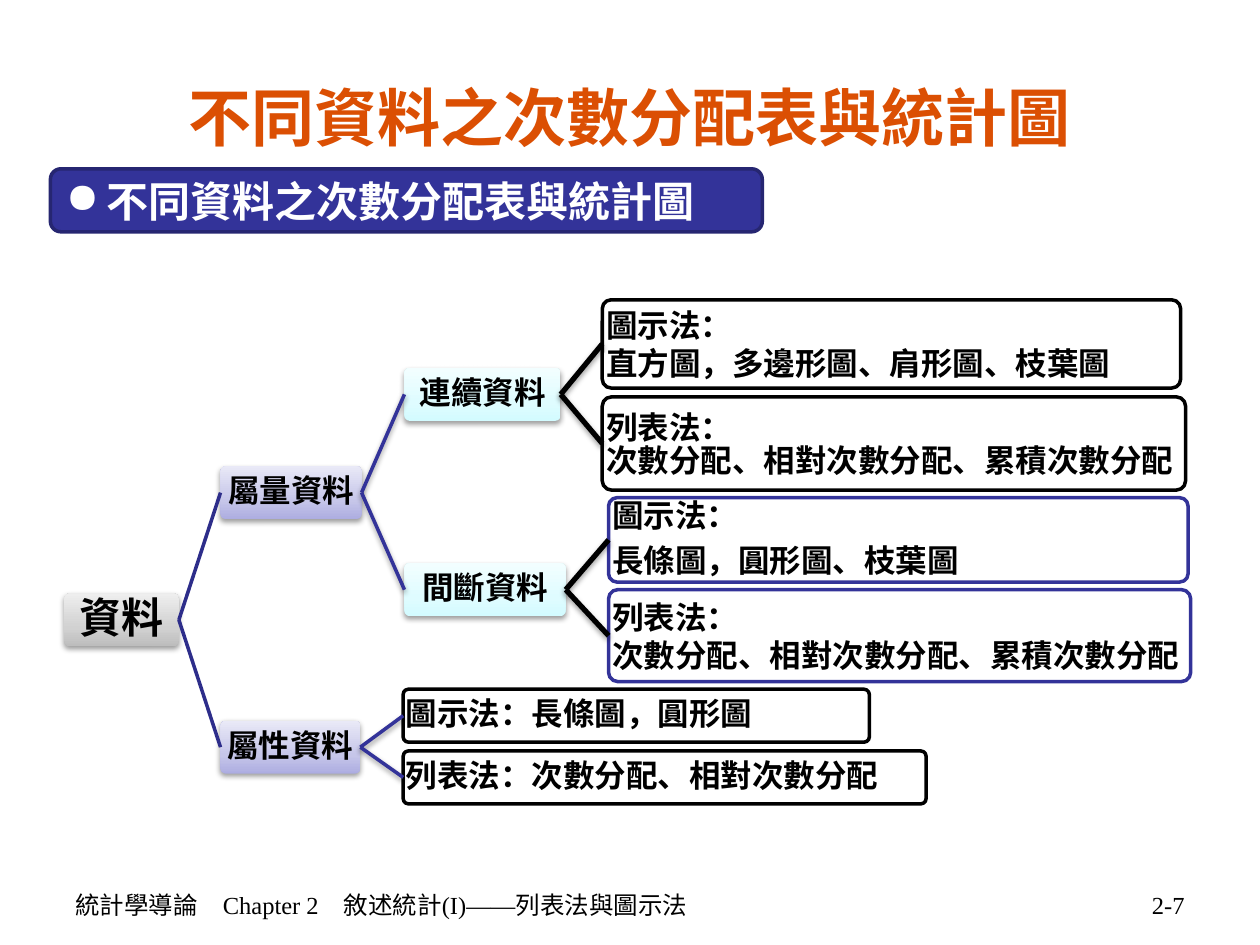
from copy import deepcopy
from lxml import etree
from pptx import Presentation
from pptx.dml.color import RGBColor
from pptx.enum.shapes import MSO_CONNECTOR, MSO_SHAPE
from pptx.enum.text import MSO_ANCHOR, PP_ALIGN
from pptx.oxml import parse_xml
from pptx.oxml.ns import qn
from pptx.util import Inches, Pt

ROUND = MSO_SHAPE.ROUNDED_RECTANGLE
STRAIGHT = MSO_CONNECTOR.STRAIGHT
MIDDLE = MSO_ANCHOR.MIDDLE
LEFT, CENTER, RIGHT = PP_ALIGN.LEFT, PP_ALIGN.CENTER, PP_ALIGN.RIGHT
FONT = "Times New Roman"
SHADOW = parse_xml(
    '<a:effectLst xmlns:a="http://schemas.openxmlformats.org/drawingml/2006/main">'
    '<a:outerShdw blurRad="40000" dist="20000" dir="5400000" rotWithShape="0">'
    '<a:srgbClr val="000000"><a:alpha val="38000"/></a:srgbClr>'
    '</a:outerShdw></a:effectLst>')


def rgb(color):
    return RGBColor.from_string(color)


def write(tf, text, size=18, color="000000", bold=True, align=LEFT, inset=0.01, tight=()):
    tf.word_wrap = True
    tf.vertical_anchor = MIDDLE
    tf.margin_left = tf.margin_right = Inches(inset)
    tf.margin_top = tf.margin_bottom = Inches(inset / 2)
    for i, line in enumerate(text.split("\n")):
        p = tf.paragraphs[0] if i == 0 else tf.add_paragraph()
        p.alignment = align
        if i in tight:
            p.line_spacing = 0.9
            p.space_after = Pt(size * 0.35)
        r = p.add_run()
        r.text = line
        r.font.name = FONT
        r.font.size = Pt(size)
        r.font.bold = bold
        r.font.color.rgb = rgb(color)


prs = Presentation()
prs.slide_width, prs.slide_height = Inches(10), Inches(7.5)
slide = prs.slides.add_slide(prs.slide_layouts[6])
shapes = slide.shapes

labels = [
    (0.5, 0.3, 9, 1.25, "不同資料之次數分配表與統計圖",
     dict(size=36, color="DB4F03", align=CENTER)),
    (0.5, 7.01, 6, 0.34, "統計學導論　Chapter 2　敘述統計(I)——列表法與圖示法",
     dict(size=14, bold=False)),
    (7.17, 7.01, 2.33, 0.34, "2-7", dict(size=14, bold=False, align=RIGHT)),
]
for x, y, w, h, text, style in labels:
    sp = shapes.add_textbox(Inches(x), Inches(y), Inches(w), Inches(h))
    write(sp.text_frame, text, inset=0.1, **style)

gray = ("BDBDBD", "D1D1D1", "EEEEEE")
violet = ("ADADE1", "C6C6E9", "E9E9F7")
cyan = ("D3FBFF", "DFFCFF", "F2FEFF")
groups = [
    ("資料", None, 0.51, 4.71, 0.91, gray, 24),
    ("屬量資料", "資料", 1.75, 3.7, 1.12, violet, 18),
    ("屬性資料", "資料", 1.75, 5.72, 1.11, violet, 18),
    ("連續資料", "屬量資料", 3.21, 2.92, 1.24, cyan, 18),
    ("間斷資料", "屬量資料", 3.21, 4.47, 1.28, cyan, 18),
]
nodes = {}
links = []
for text, parent, x, y, w, colors, size in groups:
    sp = shapes.add_shape(ROUND, Inches(x), Inches(y), Inches(w), Inches(0.42))
    sp.adjustments[0] = 0.1
    sp.line.fill.background()
    sp.fill.gradient()
    sp.fill.gradient_angle = 90
    stops = sp._element.spPr.find(".//" + qn("a:gsLst"))
    stops.insert(1, deepcopy(stops[0]))
    for stop, position, color in zip(sp.fill.gradient_stops, (0, 0.35, 1), colors):
        stop.position = position
        stop.color.rgb = rgb(color)
    sp._element.spPr.append(deepcopy(SHADOW))
    write(sp.text_frame, text, size=size, align=CENTER, tight=(0,))
    nodes[text] = sp
    if parent == "資料":
        links.append((parent, sp, "2D2D8A", 2))
    elif parent:
        links.append((parent, sp, "333399", 2))

methods = [
    ("連續資料", 4.78, 2.38, 4.59, 0.7, "000000", "000000", 3, (),
     "圖示法：\n直方圖，多邊形圖、肩形圖、枝葉圖"),
    ("連續資料", 4.78, 3.15, 4.63, 0.74, "000000", "000000", 3, (1,),
     "列表法：\n次數分配、相對次數分配、累積次數分配"),
    ("間斷資料", 4.83, 3.95, 4.6, 0.67, "333399", "000000", 3, (0, 1),
     "圖示法：\n長條圖，圓形圖、枝葉圖"),
    ("間斷資料", 4.83, 4.68, 4.62, 0.73, "333399", "000000", 3, (),
     "列表法：\n次數分配、相對次數分配、累積次數分配"),
    ("屬性資料", 3.2, 5.47, 3.7, 0.42, "000000", "333399", 2, (0,),
     "圖示法：長條圖，圓形圖"),
    ("屬性資料", 3.2, 5.96, 4.15, 0.42, "000000", "333399", 2, (0,),
     "列表法：次數分配、相對次數分配"),
]
for parent, x, y, w, h, border, link_color, link_width, tight, text in methods:
    sp = shapes.add_shape(ROUND, Inches(x), Inches(y), Inches(w), Inches(h))
    sp.adjustments[0] = 0.1
    sp.shadow.inherit = False
    sp.fill.solid()
    sp.fill.fore_color.rgb = rgb("FFFFFF")
    sp.line.color.rgb = rgb(border)
    sp.line.width = Pt(2)
    write(sp.text_frame, text, tight=tight)
    links.append((parent, sp, link_color, link_width))

for parent, child, color, width in links:
    line = shapes.add_connector(STRAIGHT, 0, 0, 0, 0)
    line.begin_connect(nodes[parent], 3)
    line.end_connect(child, 1)
    line.line.color.rgb = rgb(color)
    line.line.width = Pt(width)
    if parent == "資料":
        etree.SubElement(line._element.spPr, qn("a:effectLst"))
    else:
        line._element.spPr.append(deepcopy(SHADOW))

banner = shapes.add_shape(ROUND, Inches(0.4), Inches(1.34), Inches(5.65), Inches(0.5))
banner.shadow.inherit = False
banner.fill.solid()
banner.fill.fore_color.rgb = rgb("333399")
banner.line.color.rgb = rgb("262671")
banner.line.width = Pt(2)
write(banner.text_frame, "不同資料之次數分配表與統計圖", size=24, color="FFFFFF", inset=0.1)
pPr = banner.text_frame.paragraphs[0]._p.get_or_add_pPr()
pPr.set("marL", str(Inches(0.32)))
pPr.set("indent", str(-Inches(0.32)))
etree.SubElement(pPr, qn("a:buChar")).set("char", "●")

prs.save("out.pptx")
